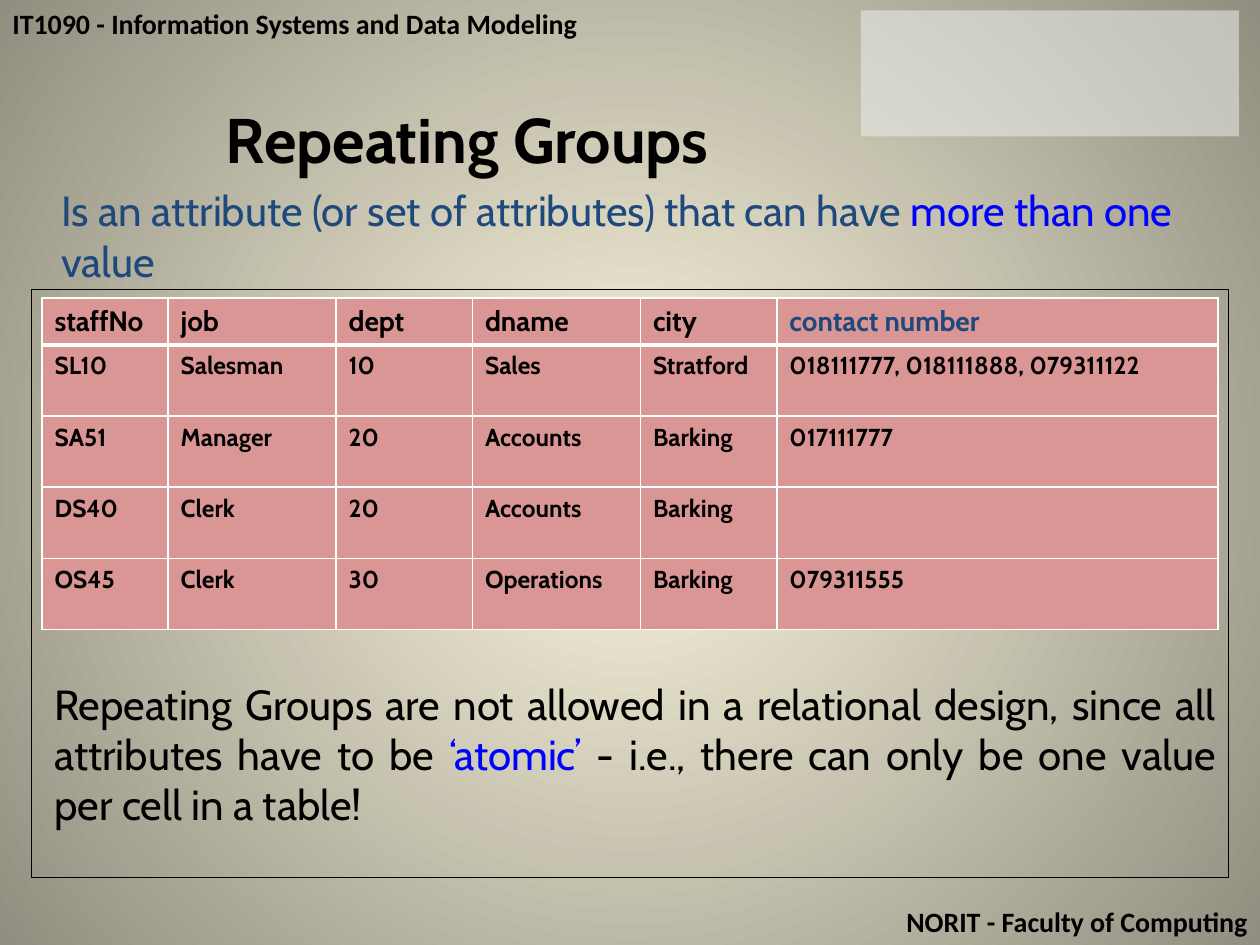
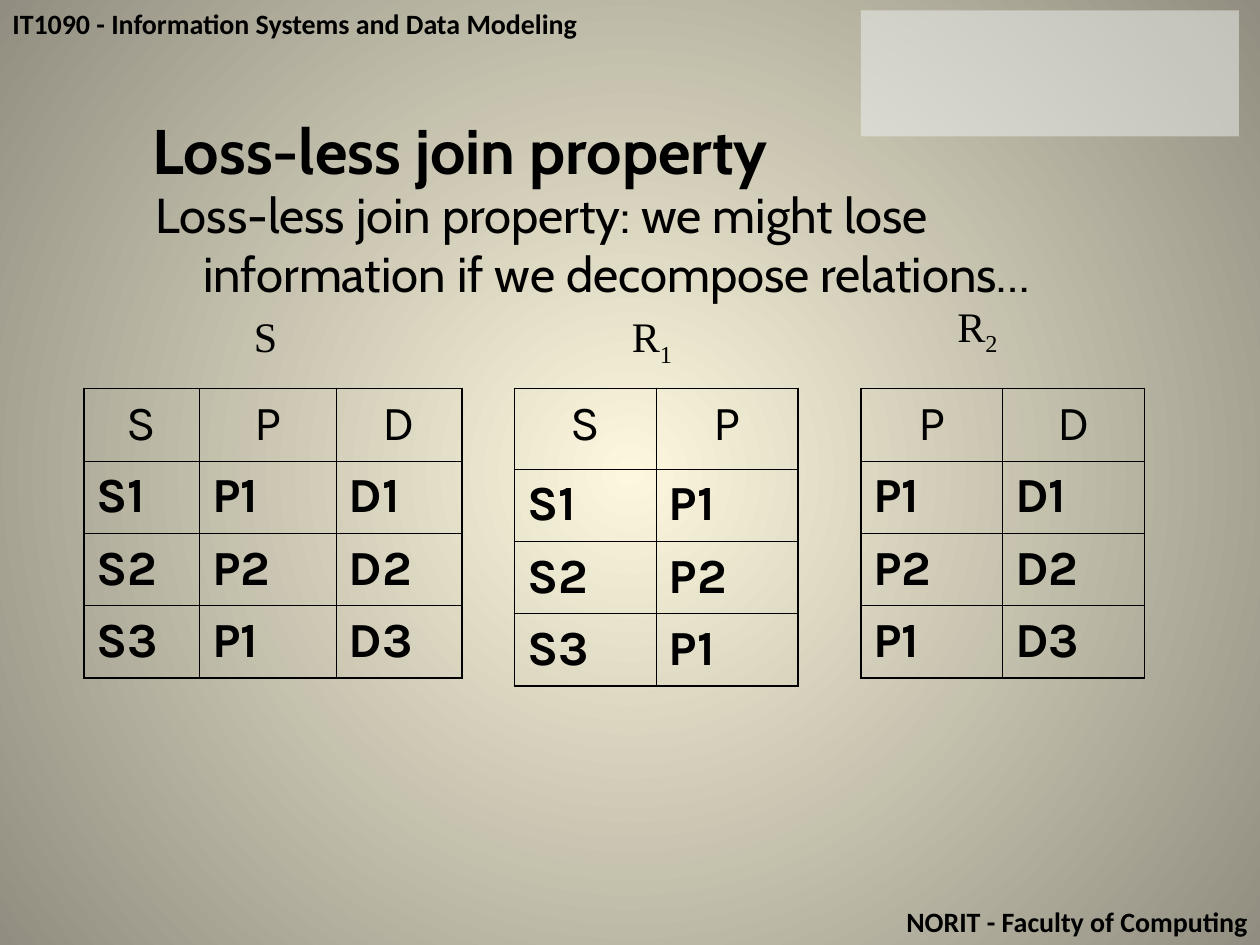
from pptx import Presentation
from pptx.dml.color import RGBColor as Rgb
from pptx.enum.shapes import MSO_SHAPE as Kind
from pptx.enum.text import MSO_AUTO_SIZE as Fit, PP_ALIGN as Align
from pptx.oxml.ns import qn
from pptx.util import Pt
from lxml.etree import SubElement as Sub

BLACK = Rgb(0x00, 0x00, 0x00)
WHITE = Rgb(0xFF, 0xFF, 0xFF)
NAVY = Rgb(0x1F, 0x49, 0x7D)
BLUE = Rgb(0x00, 0x00, 0xFF)
ROSE = Rgb(0xD9, 0x96, 0x94)
PALE = Rgb(0xF2, 0xF2, 0xF2)
CREAM = Rgb(0xFC, 0xF7, 0xDD)
STONE = Rgb(0x91, 0x8E, 0x81)

CABIN = "Cabin"
KARLA = "Karla"
TIMES = "Times New Roman"
THIN, THICK = 0.45, 1.08


class Deck:
    def __init__(self):
        self.show = Presentation()
        self.show.slide_width, self.show.slide_height = Pt(720), Pt(540)
        self.slide = None
        self.glow()

    def glow(self):
        master = self.show.slide_master
        fill = master.background.fill
        fill.gradient()
        for stop, tone, spot in zip(fill.gradient_stops, (CREAM, STONE), (0, 1)):
            stop.color.rgb = tone
            stop.position = spot
        grad = master.element.find(".//" + qn("a:gradFill"))
        grad.remove(grad.find(qn("a:lin")))
        ring = Sub(grad, qn("a:path"), path="circle")
        Sub(ring, qn("a:fillToRect"), l="50000", t="50000", r="50000", b="50000")

    def start(self, title, box):
        self.slide = self.show.slides.add_slide(self.show.slide_layouts[5])
        self.text((0, 0, 720, 26.6), [("IT1090 - Information Systems and Data Modeling", BLACK)],
                  16, "Calibri", bold=True)
        self.text((0, 513.4, 720, 26.6), [("NORIT - Faculty of Computing", BLACK)],
                  16, "Calibri", bold=True, align=Align.RIGHT)
        self.rect((492, 6, 216, 72), fill=PALE, alpha=50)
        head = self.slide.shapes.title
        head.left, head.top, head.width, head.height = map(Pt, box)
        self.put(head.text_frame, [(title, BLACK)], 36, CABIN, True, Align.CENTER)

    def put(self, frame, runs, size, font, bold=False, align=Align.LEFT):
        para = frame.paragraphs[0]
        para.alignment = align
        for words, tone, *drop in runs:
            run = para.add_run()
            run.text = words
            run.font.size, run.font.name, run.font.bold = Pt(size), font, bold
            run.font.color.rgb = tone
            if drop:
                run.font._element.set("baseline", str(drop[0] * 1000))
        return para

    def text(self, box, runs, size, font, bold=False, align=Align.LEFT, wrap=True):
        frame = self.slide.shapes.add_textbox(*map(Pt, box)).text_frame
        frame.word_wrap = wrap
        frame.auto_size = Fit.SHAPE_TO_FIT_TEXT
        return self.put(frame, runs, size, font, bold, align)

    def rect(self, box, fill=None, alpha=100, line=None):
        shape = self.slide.shapes.add_shape(Kind.RECTANGLE, *map(Pt, box))
        shape.shadow.inherit = False
        if fill is None:
            shape.fill.background()
        else:
            shape.fill.solid()
            shape.fill.fore_color.rgb = fill
            tone = shape.fill._xPr.find(".//" + qn("a:srgbClr"))
            Sub(tone, qn("a:alpha"), val=str(alpha * 1000))
        if line is None:
            shape.line.fill.background()
        else:
            shape.line.color.rgb = line
            shape.line.width = Pt(0.75)

    def edge(self, cell, tone, left, right, top, base):
        props = cell._tc.get_or_add_tcPr()
        for side, width in zip("LRTB", (left, right, top, base)):
            line = Sub(props, qn("a:ln" + side), w=str(Pt(width)))
            Sub(Sub(line, qn("a:solidFill")), qn("a:srgbClr"), val=str(tone))

    def grid(self, left, top, cols, rows):
        table = self.slide.shapes.add_table(
            len(rows), len(cols), Pt(left), Pt(top), Pt(sum(cols)), Pt(sum(rows))).table
        table.first_row = table.horz_banding = False
        for col, width in zip(table.columns, cols):
            col.width = Pt(width)
        for row, height in zip(table.rows, rows):
            row.height = Pt(height)
        return table

    def staff(self, left, top, cols, data):
        table = self.grid(left, top, cols, [26.7] + [40.7] * (len(data) - 1))
        for i, row in enumerate(data):
            for j, words in enumerate(row):
                cell = table.cell(i, j)
                self.edge(cell, WHITE, 1, 1, 3 if i == 1 else 1, 1 if i else 3)
                cell.fill.solid()
                cell.fill.fore_color.rgb = ROSE
                if words:
                    tone = NAVY if words == "contact number" else BLACK
                    self.put(cell.text_frame, [(words, tone)], 14 if i else 16, CABIN, True)

    def join(self, left, cols, data, head=41.4):
        table = self.grid(left, 222, cols, [head] + [41.4] * (len(data) - 1))
        last, end = len(data) - 1, len(cols) - 1
        for i, row in enumerate(data):
            for j, words in enumerate(row):
                cell = table.cell(i, j)
                sides = (j == 0, j == end, i == 0, i == last)
                self.edge(cell, BLACK, *(THICK if out else THIN for out in sides))
                cell.fill.background()
                para = self.put(cell.text_frame, [(words, BLACK)], 28, KARLA, i > 0,
                                Align.LEFT if i else Align.CENTER)
                para.space_before, para.line_spacing = Pt(7), 1.01


def groups(deck):
    deck.start("Repeating Groups", (-12, 47.5, 558, 62.5))
    deck.text((28, 102, 666, 65.5), [
        ("Is an attribute (or set of attributes) that can have ", NAVY),
        ("more than one", BLUE), (" value", NAVY)], 24, CABIN)
    deck.rect((18, 165.6, 684, 336), line=BLACK)
    deck.staff(24, 170.4, (72, 96, 78, 96, 78, 252), [
        ("staffNo", "job", "dept", "dname", "city", "contact number"),
        ("SL10", "Salesman", "10", "Sales", "Stratford", "018111777, 018111888, 079311122"),
        ("SA51", "Manager", "20", "Accounts", "Barking", "017111777"),
        ("DS40", "Clerk", "20", "Accounts", "Barking", ""),
        ("OS45", "Clerk", "30", "Operations", "Barking", "079311555")])
    deck.text((24, 384, 678, 94), [
        ("Repeating Groups are not allowed in a relational design, since all "
         "attributes have to be ", BLACK),
        ("‘atomic’", BLUE),
        (" - i.e., there can only be one value per cell in a table!", BLACK)],
        24, CABIN, align=Align.JUSTIFY)


def lossless(deck):
    deck.start("Loss-less join property", (-52, 54, 630, 62.5))
    para = deck.text((82, 102, 558, 256), [
        ("Loss-less join property: we might lose information if we decompose relations…", BLACK)],
        28, CABIN)
    para.space_before = Pt(7)
    props = para._p.get_or_add_pPr()
    props.set("marL", str(Pt(27)))
    props.set("indent", str(Pt(-27)))

    whole = [("S", "P", "D"), ("S1", "P1", "D1"), ("S2", "P2", "D2"), ("S3", "P1", "D3")]
    deck.text((138, 174, 27, 36), [("S", BLACK)], 24, TIMES, wrap=False)
    deck.join(48, (66, 78, 72), whole)
    deck.text((354, 174, 38, 40), [("R", BLACK), ("1", BLACK, -25)], 24, TIMES, wrap=False)
    deck.join(294, (81, 81), [row[:2] for row in whole], head=46)
    deck.text((540, 168, 38, 40), [("R", BLACK), ("2", BLACK, -25)], 24, TIMES, wrap=False)
    deck.join(492, (81, 81), [row[1:] for row in whole])


def main():
    deck = Deck()
    groups(deck)
    lossless(deck)
    deck.show.save("out.pptx")


if __name__ == "__main__":
    main()
